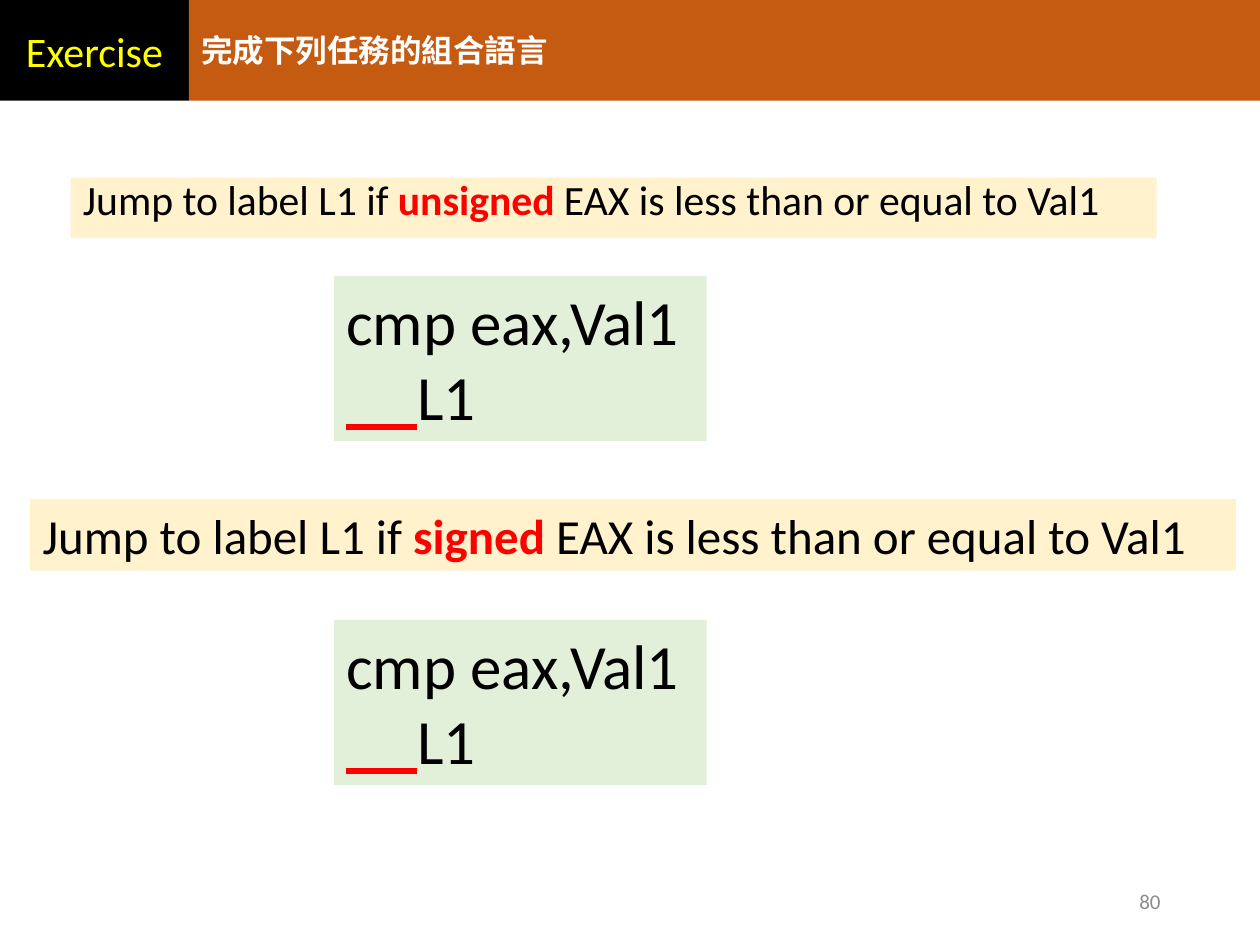
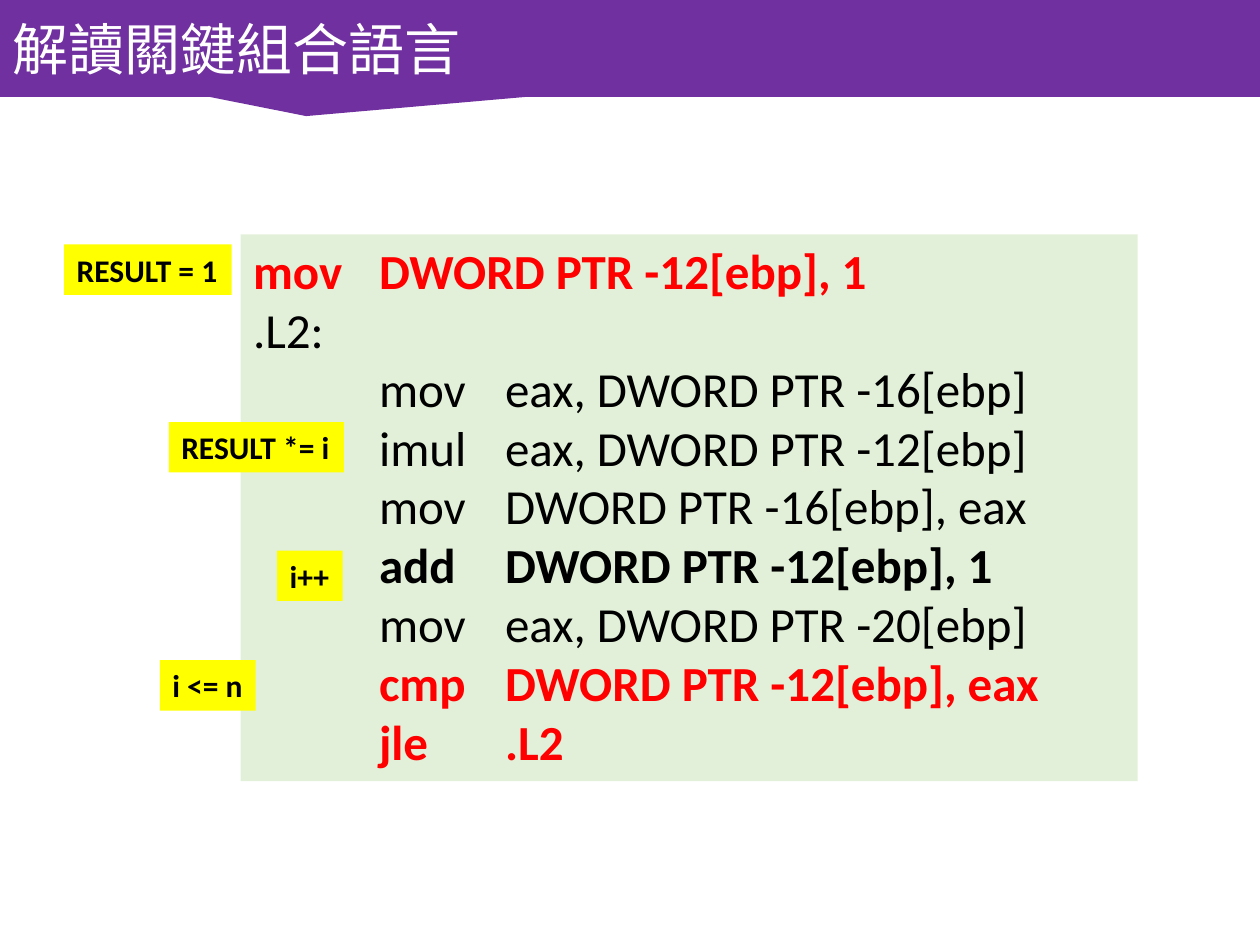
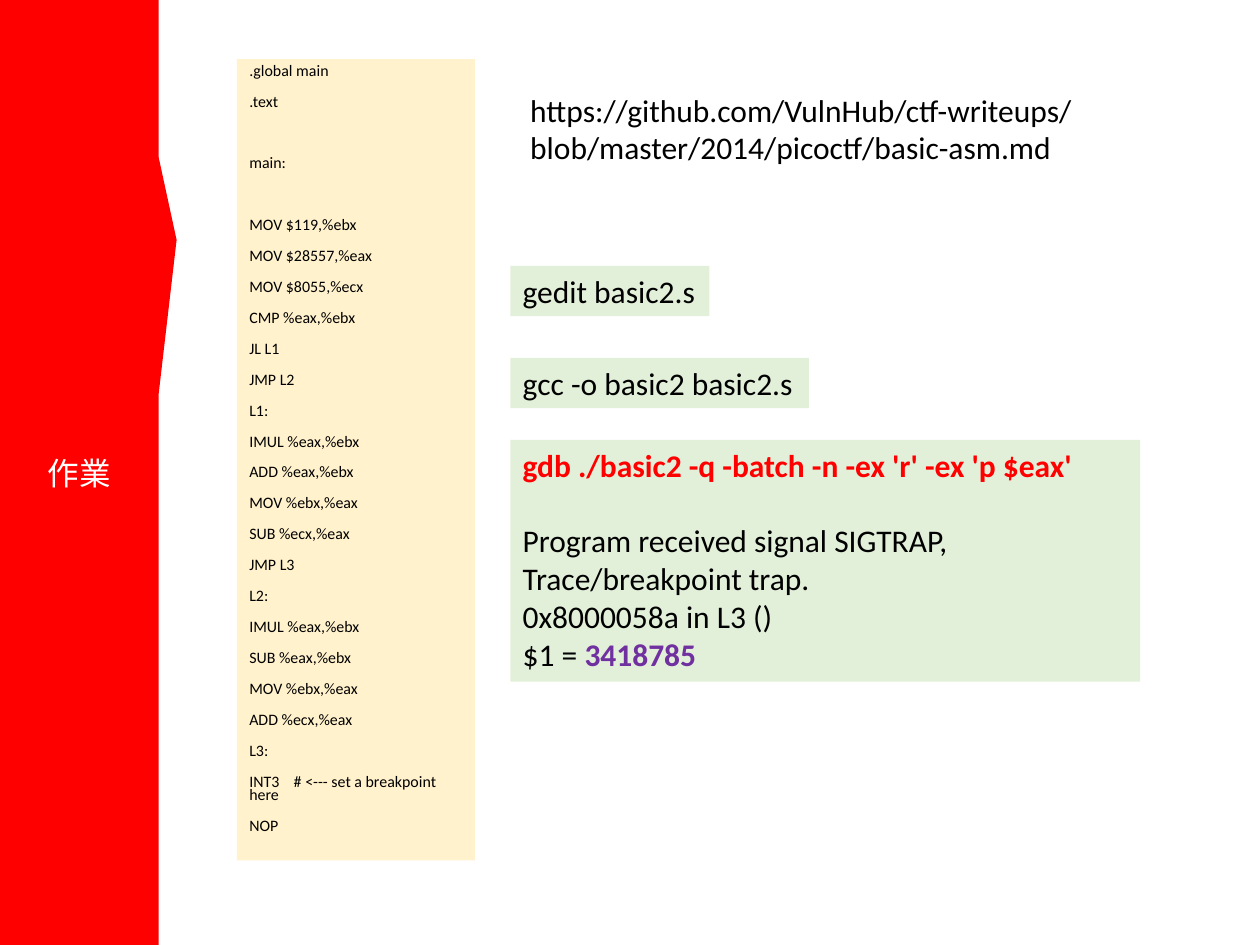
from lxml.etree import SubElement
from pptx import Presentation
from pptx.dml.color import RGBColor
from pptx.enum.shapes import MSO_SHAPE as Preset
from pptx.enum.text import MSO_ANCHOR as Anchor, MSO_AUTO_SIZE as AutoSize, PP_ALIGN as Align
from pptx.oxml.ns import qn
from pptx.util import Inches, Pt

LATIN_FONT = "Calibri"
CJK_FONT = "Noto Sans CJK SC"
BLACK, WHITE, RED, YELLOW = "000000", "FFFFFF", "FF0000", "FFFF00"
PURPLE, ORANGE, GRAY = "7030A0", "C55A11", "8C8C8C"
CREAM, MINT = "FFF2CC", "E2F0D9"

KEY = {"color": RED, "bold": True}
BOLD = {"bold": True}


def color_of(hex_text):
    return RGBColor.from_string(hex_text)


def add_run(paragraph, text, size=18, color=BLACK, bold=False, underline=False, font=LATIN_FONT):
    run = paragraph.add_run()
    run.text = text
    run.font.size = Pt(size)
    run.font.bold = bold
    run.font.underline = underline
    run.font.color.rgb = color_of(color)
    run.font.name = font
    SubElement(run.font._element, qn("a:ea")).set("typeface", CJK_FONT)


def add_tab_stops(paragraph, stops):
    tab_list = SubElement(paragraph._p.get_or_add_pPr(), qn("a:tabLst"))
    for stop in stops:
        tab = SubElement(tab_list, qn("a:tab"))
        tab.set("pos", str(Inches(stop)))
        tab.set("algn", "l")


def write_text(shape, lines, align=Align.LEFT, anchor=Anchor.TOP, wrap=True, grow=False,
               line_spacing=None, space_before=0, extra_before=None, tab_stops=(), **run_format):
    frame = shape.text_frame
    frame.word_wrap = wrap
    frame.auto_size = AutoSize.SHAPE_TO_FIT_TEXT if grow else AutoSize.NONE
    frame.vertical_anchor = anchor
    for index, line in enumerate([lines] if isinstance(lines, str) else lines):
        paragraph = frame.add_paragraph() if index else frame.paragraphs[0]
        paragraph.alignment = align
        if line_spacing:
            paragraph.line_spacing = line_spacing
        if index:
            paragraph.space_before = Pt(space_before + (extra_before or {}).get(index, 0))
        if tab_stops:
            add_tab_stops(paragraph, tab_stops)
        for text, changes in [(line, {})] if isinstance(line, str) else line:
            add_run(paragraph, text, **{**run_format, **changes})


def add_panel(slide, box, fill, lines, preset=Preset.RECTANGLE, pointer=(), **text_format):
    shape = slide.shapes.add_shape(preset, *map(Inches, box))
    shape.shadow.inherit = False
    shape.fill.solid()
    shape.fill.fore_color.rgb = color_of(fill)
    shape.line.fill.background()
    for index, value in enumerate(pointer):
        shape.adjustments[index] = value
    write_text(shape, lines, **text_format)


def add_label(slide, box, lines, **text_format):
    write_text(slide.shapes.add_textbox(*map(Inches, box)), lines, **text_format)


def add_banner(slide, box, fill, title, pointer, **text_format):
    add_panel(slide, box, fill, title, Preset.RECTANGULAR_CALLOUT, pointer,
              anchor=Anchor.MIDDLE, color=WHITE, **text_format)


def add_blank_slide(presentation):
    return presentation.slides.add_slide(presentation.slide_layouts[6])


def jump_task(kind):
    return [[("Jump to label L1 if ", {}), (kind, KEY),
             (" EAX is less than or equal to Val1", {})]]


def build_exercise(slide):
    add_panel(slide, (0, 0, 1.5, 0.8), BLACK, "Exercise", size=24, color=YELLOW,
              align=Align.CENTER, anchor=Anchor.MIDDLE)
    add_panel(slide, (1.5, 0, 8.5, 0.8), ORANGE, "完成下列任務的組合語言",
              color=WHITE, bold=True, anchor=Anchor.MIDDLE)
    add_panel(slide, (0.56, 1.41, 8.62, 0.48), CREAM, jump_task("unsigned"),
              size=23.8, line_spacing=0.8)
    add_panel(slide, (0.24, 3.96, 9.57, 0.57), CREAM, jump_task("signed"), size=28, grow=True)
    answer = ["cmp eax,Val1", [("     ", {"color": RED, "underline": True}), ("L1", {})]]
    for top in (2.19, 4.92):
        add_panel(slide, (2.65, top, 2.96, 1.31), MINT, answer, size=36, grow=True)
    add_label(slide, (7.06, 6.95, 2.25, 0.4), "80", size=12, color=GRAY,
              align=Align.RIGHT, anchor=Anchor.MIDDLE)


def build_reading(slide):
    add_banner(slide, (0, 0, 10, 0.77), PURPLE, "解讀關鍵組合語言", (-0.257, 0.697),
               size=32, font=CJK_FONT)
    loop_code = [
        [("mov\tDWORD PTR -12[ebp], 1", KEY)],
        ".L2:",
        "\tmov\teax, DWORD PTR -16[ebp]",
        "\timul\teax, DWORD PTR -12[ebp]",
        "\tmov\tDWORD PTR -16[ebp], eax",
        [("\tadd\tDWORD PTR -12[ebp], 1", BOLD)],
        "\tmov\teax, DWORD PTR -20[ebp]",
        [("\tcmp\tDWORD PTR -12[ebp], eax", KEY)],
        [("\tjle\t.L2", KEY)],
    ]
    add_panel(slide, (1.91, 1.86, 7.12, 4.34), MINT, loop_code, size=28, grow=True,
              tab_stops=(1, 2))
    meanings = [
        ("i <= n", 1.27, 5.24, 0.76),
        ("i++", 2.2, 4.37, 0.52),
        ("RESULT *= i", 1.34, 3.35, 1.39),
        ("RESULT = 1", 0.51, 1.94, 1.33),
    ]
    for meaning, left, top, width in meanings:
        add_panel(slide, (left, top, width, 0.4), YELLOW, meaning, bold=True,
                  wrap=False, grow=True)


def build_homework(slide):
    program = [
        ".global main", ".text", "main:",
        "MOV $119,%ebx", "MOV $28557,%eax", "MOV $8055,%ecx",
        "CMP %eax,%ebx", "JL L1", "JMP L2",
        "L1:", "IMUL %eax,%ebx", "ADD %eax,%ebx", "MOV %ebx,%eax", "SUB %ecx,%eax", "JMP L3",
        "L2:", "IMUL %eax,%ebx", "SUB %eax,%ebx", "MOV %ebx,%eax", "ADD %ecx,%eax",
        "L3:", "INT3    # <--- set a breakpoint here", "NOP",
    ]
    section_gap = 17.7
    add_panel(slide, (1.88, 0.47, 1.89, 6.36), CREAM, program, size=9.1, line_spacing=0.7,
              space_before=10, extra_before={2: section_gap, 3: section_gap})
    for command, top, width in [("gedit basic2.s", 2.11, 1.58),
                                ("gcc -o basic2 basic2.s", 2.84, 2.37)]:
        add_panel(slide, (4.05, top, width, 0.4), MINT, command, wrap=False, grow=True)
    debug_session = [
        [("gdb ./basic2 -q -batch -n -ex 'r' -ex 'p $eax'", KEY)],
        "Program received signal SIGTRAP, Trace/breakpoint trap.",
        "0x8000058a in L3 ()",
        [("$1 = ", {}), ("3418785", {"color": PURPLE, "bold": True})],
    ]
    add_panel(slide, (4.05, 3.49, 5, 1.92), MINT, debug_session, grow=True,
              extra_before={1: 21.5})
    add_banner(slide, (0, 0, 1.26, 7.5), RED, "作業", (0.613, -0.246), align=Align.CENTER)
    add_label(slide, (4.11, 0.67, 5, 1.01),
              "https://github.com/VulnHub/ctf-writeups/blob/master/2014/picoctf/basic-asm.md",
              grow=True)


def main():
    presentation = Presentation()
    presentation.slide_width = Inches(10)
    presentation.slide_height = Inches(7.5)
    for build in (build_exercise, build_reading, build_homework):
        build(add_blank_slide(presentation))
    presentation.save("out.pptx")


if __name__ == "__main__":
    main()
